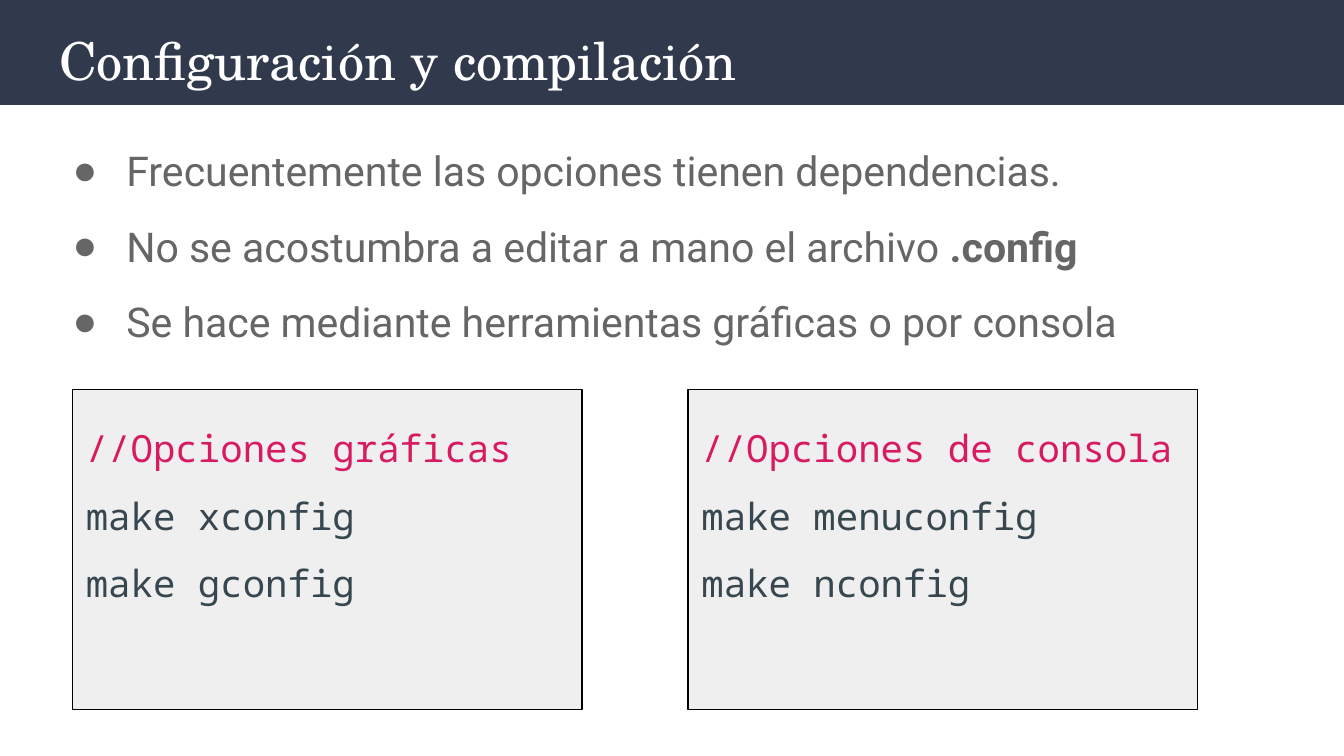
from lxml import etree
from pptx import Presentation
from pptx.dml import color
from pptx.enum import shapes, text
from pptx.oxml import ns
from pptx.util import Inches, Pt

COLORS = {
    "band": "31394D", "title": "FFFFFF", "body": "666666",
    "panel": "EFEFEF", "border": "000000",
    "comment": "D81B60", "code": "37474F",
}


def rgb(name):
    return color.RGBColor.from_string(COLORS[name])


def write(para, words, *, font, size, ink, bold=False, line=1.0, before=0):
    para.alignment = text.PP_ALIGN.LEFT
    para.line_spacing = line
    para.space_before = Pt(before)
    span = para.add_run()
    span.text = words
    span.font.name = font
    span.font.size = Pt(size)
    span.font.bold = bold
    span.font.color.rgb = rgb(ink)


# Widescreen page, 16:9
deck = Presentation()
deck.slide_width, deck.slide_height = Inches(10), Inches(10 * 9 / 16)
page = deck.slides.add_slide(deck.slide_layouts[1])
title, body = page.placeholders

# Title band, behind everything else
band = page.shapes.add_shape(
    shapes.MSO_SHAPE.RECTANGLE, 0, 0, deck.slide_width, Inches(0.78))
band.shadow.inherit = False
band.fill.solid()
band.fill.fore_color.rgb = rgb("band")
band.line.fill.background()
page.shapes.element.insert(2, band.element)

# Title and body frames
for box, top, height, anchor in (
        (title, 0.1, 0.68, text.MSO_ANCHOR.MIDDLE),
        (body, 0.93, 4.6, text.MSO_ANCHOR.TOP)):
    box.left, box.top = Inches(0.34), Inches(top)
    box.width, box.height = Inches(9.32), Inches(height)
    frame = box.text_frame
    frame.word_wrap = True
    frame.auto_size = text.MSO_AUTO_SIZE.NONE
    frame.vertical_anchor = anchor
    frame.margin_left = frame.margin_right = Inches(0.1)
    frame.margin_top = frame.margin_bottom = Inches(0.1)

write(title.text_frame.paragraphs[0], "Configuración y compilación",
      font="TeX Gyre Schola", size=28, ink="title")

# Bullet list: plain text, then an optional bold ending
bullets = [
    ("Frecuentemente las opciones tienen dependencias.", ""),
    ("No se acostumbra a editar a mano el archivo ", ".config"),
    ("Se hace mediante herramientas gráficas o por consola", ""),
]
for index, (plain, strong) in enumerate(bullets):
    frame = body.text_frame
    para = frame.add_paragraph() if index else frame.paragraphs[0]
    for words, bold in ((plain, False), (strong, True)):
        if words:
            write(para, words, font="Roboto", size=22, ink="body",
                  bold=bold, line=1.15, before=10)
    props = para._p.get_or_add_pPr()
    props.set("marL", str(Inches(0.5)))
    props.set("indent", str(Inches(-0.4)))
    tint = etree.SubElement(props, ns.qn("a:buClr"))
    etree.SubElement(tint, ns.qn("a:srgbClr"), val=COLORS["body"])
    etree.SubElement(props, ns.qn("a:buChar"), char="●")

# Code panels
panels = [
    (0.54, ["//Opciones gráficas", "make xconfig", "make gconfig"]),
    (5.12, ["//Opciones de consola", "make menuconfig", "make nconfig"]),
]
for left, lines in panels:
    panel = page.shapes.add_shape(
        shapes.MSO_SHAPE.RECTANGLE,
        Inches(left), Inches(2.9), Inches(3.79), Inches(2.38))
    panel.shadow.inherit = False
    panel.fill.solid()
    panel.fill.fore_color.rgb = rgb("panel")
    panel.line.color.rgb = rgb("border")
    panel.line.width = Pt(0.75)
    frame = panel.text_frame
    frame.word_wrap = True
    frame.vertical_anchor = text.MSO_ANCHOR.TOP
    frame.margin_left = frame.margin_right = Inches(0.1)
    frame.margin_top = frame.margin_bottom = Inches(0.1)
    for index, words in enumerate(lines):
        para = frame.add_paragraph() if index else frame.paragraphs[0]
        write(para, words, font="Noto Sans Mono", size=20,
              ink="code" if index else "comment", line=1.5)

deck.save("out.pptx")
